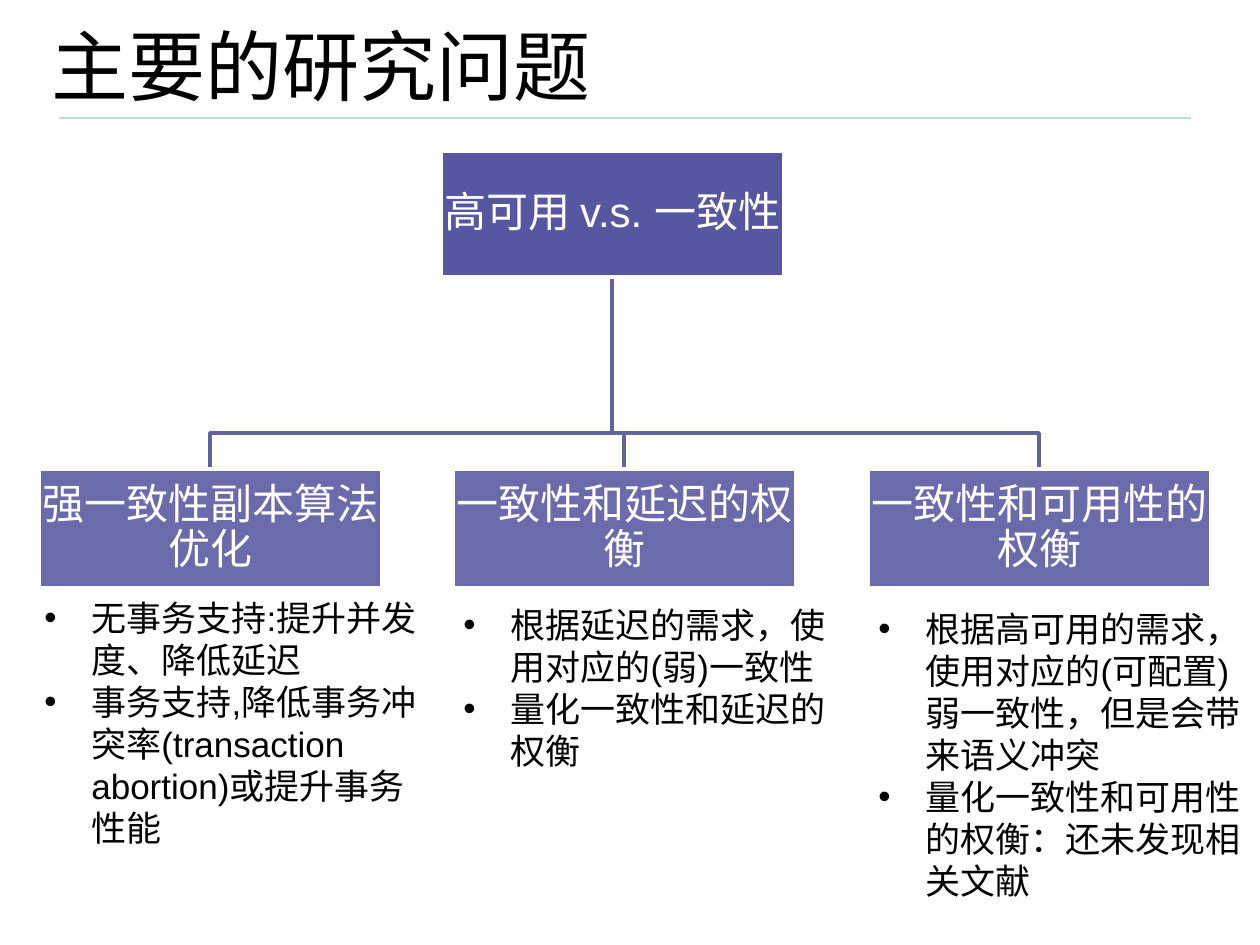
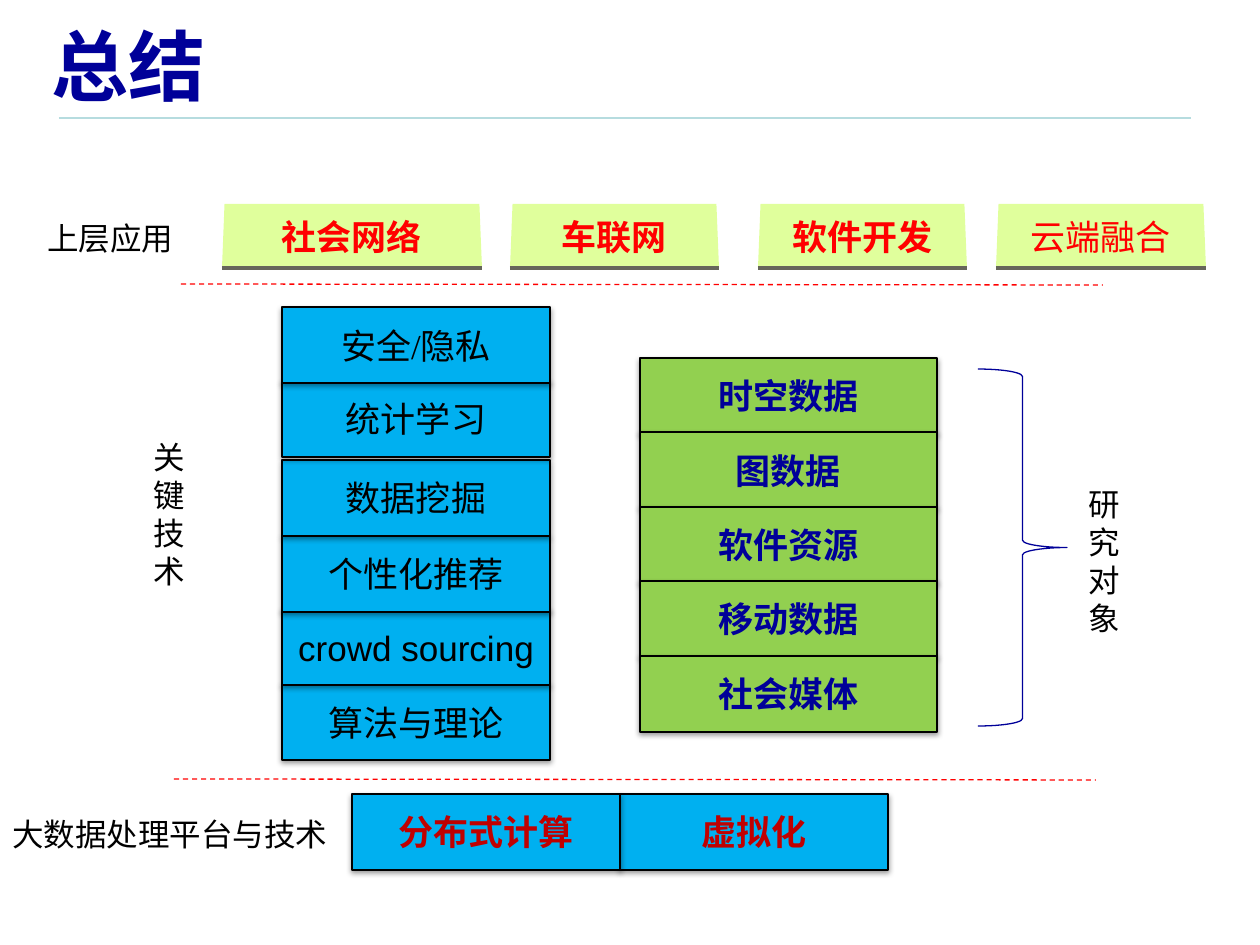
from pptx import Presentation
from pptx.dml.color import RGBColor
from pptx.enum.dml import MSO_LINE
from pptx.enum.lang import MSO_LANGUAGE_ID
from pptx.enum.shapes import MSO_CONNECTOR, MSO_SHAPE
from pptx.enum.text import MSO_ANCHOR, PP_ALIGN
from pptx.oxml import parse_xml
from pptx.oxml.ns import nsdecls, qn
from pptx.oxml.xmlchemy import OxmlElement
from pptx.util import Pt

PX = 914400 / 126
RECT, TRAPEZOID, BRACE = MSO_SHAPE.RECTANGLE, MSO_SHAPE.TRAPEZOID, MSO_SHAPE.RIGHT_BRACE
STRAIGHT, DASH = MSO_CONNECTOR.STRAIGHT, MSO_LINE.DASH
TOP, MIDDLE = MSO_ANCHOR.TOP, MSO_ANCHOR.MIDDLE
LEFT, CENTER = PP_ALIGN.LEFT, PP_ALIGN.CENTER
CHINESE = MSO_LANGUAGE_ID.SIMPLIFIED_CHINESE
SANS, SERIF = "Arial", "Times New Roman"

BLACK = RGBColor(0x00, 0x00, 0x00)
WHITE = RGBColor(0xFF, 0xFF, 0xFF)
RULE = RGBColor(0xB6, 0xDC, 0xDF)
INDIGO = RGBColor(0x2D, 0x2D, 0x8A)
BRANCH = RGBColor(0x64, 0x64, 0x9B)
NAVY = RGBColor(0x00, 0x00, 0x99)
RED = RGBColor(0xFF, 0x00, 0x00)
DARK_RED = RGBColor(0xC0, 0x00, 0x00)
BLUE = RGBColor(0x00, 0xB0, 0xF0)
GREEN = RGBColor(0x92, 0xD0, 0x50)
LIME = RGBColor(0xE0, 0xFF, 0x9C)
EDGE = RGBColor(0x66, 0x66, 0x5A)


def emu(*lengths):
    return [round(length * PX) for length in lengths]


class Painter:
    def __init__(self, deck):
        self.deck = deck
        self.page = None

    def new_page(self, title, color=BLACK, bold=False):
        self.page = self.deck.slides.add_slide(self.deck.slide_layouts[6])
        self.line(59, 118, 1191, 118, RULE)
        self.text_box((39, 10, 1152, 110), [title], 44, color, bold, anchor=MIDDLE)

    def add_text(self, shape, texts, size, color, bold=False, font=SANS,
                 align=LEFT, anchor=TOP, bullet=False, spacing=None):
        frame = shape.text_frame
        frame.word_wrap = True
        frame.vertical_anchor = anchor
        for index, text in enumerate(texts):
            para = frame.add_paragraph() if index else frame.paragraphs[0]
            para.alignment = align
            if spacing:
                para.line_spacing = spacing
            if bullet:
                self.bullet(para)
            span = para.add_run()
            span.text = text
            span.font.size = Pt(size)
            span.font.name = font
            span.font.bold = bold
            span.font.color.rgb = color
            span.font.language_id = CHINESE

    def bullet(self, para):
        properties = para._p.get_or_add_pPr()
        indent = emu(47)[0]
        properties.set("marL", str(indent))
        properties.set("indent", str(-indent))
        typeface = OxmlElement("a:buFont")
        typeface.set("typeface", SANS)
        mark = OxmlElement("a:buChar")
        mark.set("char", "•")
        properties.extend([typeface, mark])

    def text_box(self, place, texts, size, color=BLACK, bold=False, **style):
        box = self.page.shapes.add_textbox(*emu(*place))
        self.add_text(box, texts, size, color, bold, **style)
        return box

    def vertical_label(self, place, text):
        box = self.text_box(place, [text], 18)
        box.text_frame._txBody.bodyPr.set("vert", "wordArtVertRtl")

    def shape(self, kind, place, fill=None, line=None, width=0.75):
        shape = self.page.shapes.add_shape(kind, *emu(*place))
        self.paint(shape, fill, line, width)
        return shape

    def paint(self, shape, fill, line, width):
        shape.shadow.inherit = False
        if fill is None:
            shape.fill.background()
        else:
            shape.fill.solid()
            shape.fill.fore_color.rgb = fill
        if line is None:
            shape.line.fill.background()
        else:
            shape.line.color.rgb = line
            shape.line.width = Pt(width)

    def line(self, x1, y1, x2, y2, color, width=0.75, dash=None):
        line = self.page.shapes.add_connector(STRAIGHT, *emu(x1, y1, x2, y2))
        line.line.color.rgb = color
        line.line.width = Pt(width)
        if dash:
            line.line.dash_style = dash
        line._element.spPr.append(OxmlElement("a:effectLst"))

    def branch(self, points):
        builder = self.page.shapes.build_freeform(*points[0], scale=PX)
        builder.add_line_segments(points[1:], close=False)
        self.paint(builder.convert_to_shape(), None, BRANCH, 2)

    def node(self, place, text, opacity):
        node = self.shape(RECT, place, INDIGO, WHITE, 2)
        alpha = OxmlElement("a:alpha")
        alpha.set("val", str(opacity * 1000))
        node._element.spPr.find(qn("a:solidFill"))[0].append(alpha)
        frame = node.text_frame
        frame.margin_left = frame.margin_right = emu(2)[0]
        frame.margin_top = frame.margin_bottom = emu(2)[0]
        self.add_text(node, [text], 24, WHITE, align=CENTER, anchor=MIDDLE, spacing=0.9)

    def block(self, place, text, fill, color, bold=False, font=SERIF):
        block = self.shape(RECT, place, fill, BLACK)
        block._element.spPr.find(qn("a:effectLst")).append(parse_xml(
            f'<a:outerShdw {nsdecls("a")} blurRad="{Pt(3.1)}" dist="{Pt(1.6)}" '
            'dir="5400000" rotWithShape="0"><a:srgbClr val="000000">'
            '<a:alpha val="38000"/></a:srgbClr></a:outerShdw>'))
        self.add_text(block, [text], 20, color, bold, font, CENTER, MIDDLE)

    def application(self, left, width, text, bold):
        top, height = 204, 64
        plate = self.shape(TRAPEZOID, (left, top, width, height), LIME)
        plate.adjustments[0] = 0.04
        self.add_text(plate, [text], 20, RED, bold, SERIF, CENTER, MIDDLE)
        self.line(left, top + height, left + width, top + height, EDGE, 1.75)


def draw_questions(painter):
    painter.new_page("主要的研究问题")
    node_width, root_left, root_top, root_height = 343, 441, 151, 126
    child_top, bus = 469, 433
    topics = [
        ("强一致性副本算法优化", 32, 590,
         ["无事务支持:提升并发度、降低延迟",
          "事务支持,降低事务冲突率(transaction abortion)或提升事务性能"]),
        ("一致性和延迟的权衡", 451, 597,
         ["根据延迟的需求，使用对应的(弱)一致性", "量化一致性和延迟的权衡"]),
        ("一致性和可用性的权衡", 866, 601,
         ["根据高可用的需求，使用对应的(可配置)弱一致性，但是会带来语义冲突",
          "量化一致性和可用性的权衡：还未发现相关文献"]),
    ]
    lefts = [39 + index * 829 // 2 for index in range(len(topics))]
    trunk = root_left + node_width // 2
    for left in lefts:
        center = left + node_width // 2
        painter.branch([(trunk, root_top + root_height), (trunk, bus),
                        (center, bus), (center, child_top)])
    painter.node((root_left, root_top, node_width, root_height), "高可用 v.s. 一致性", 80)
    for left, (heading, text_left, text_top, points) in zip(lefts, topics):
        painter.node((left, child_top, node_width, 119), heading, 70)
        painter.text_box((text_left, text_top, 401, 340), points, 20, bullet=True)


def draw_summary(painter):
    painter.new_page("总结", NAVY, True)
    block_height, technique_width = 76, 268
    for left, text in [(620, "虚拟化"), (352, "分布式计算")]:
        painter.block((left, 794, technique_width, block_height), text, BLUE, DARK_RED, True)
    for left, width, text, bold in [(222, 260, "社会网络", True), (510, 209, "车联网", True),
                                    (758, 209, "软件开发", True), (996, 210, "云端融合", False)]:
        painter.application(left, width, text, bold)
    for left, top in [(181, 284), (174, 779)]:
        painter.line(left, top, left + 922, top + 1, RED, dash=DASH)
    techniques = [(307, "安全/隐私", SERIF), (381, "统计学习", SERIF), (460, "数据挖掘", SERIF),
                  (536, "个性化推荐", SERIF), (609, "crowd sourcing", SANS),
                  (684, "算法与理论", SANS)]
    for top, text, font in reversed(techniques):
        painter.block((282, top, technique_width, block_height), text, BLUE, BLACK, font=font)
    for index, text in enumerate(["时空数据", "图数据", "软件资源", "移动数据", "社会媒体"]):
        top = 358 + index * 149 // 2
        painter.block((640, top, 297, block_height), text, GREEN, NAVY, True)
    painter.shape(BRACE, (978, 369, 89, 357), line=NAVY)
    painter.text_box((35, 213, 159, 50), ["上层应用"], 18)
    painter.text_box((0, 809, 353, 50), ["大数据处理平台与技术"], 18)
    painter.vertical_label((1076, 479, 64, 238), "研究对象")
    painter.vertical_label((141, 432, 64, 238), "关键技术")


def main():
    deck = Presentation()
    deck.slide_width, deck.slide_height = emu(1260, 945)
    painter = Painter(deck)
    draw_questions(painter)
    draw_summary(painter)
    deck.save("out.pptx")


if __name__ == "__main__":
    main()
